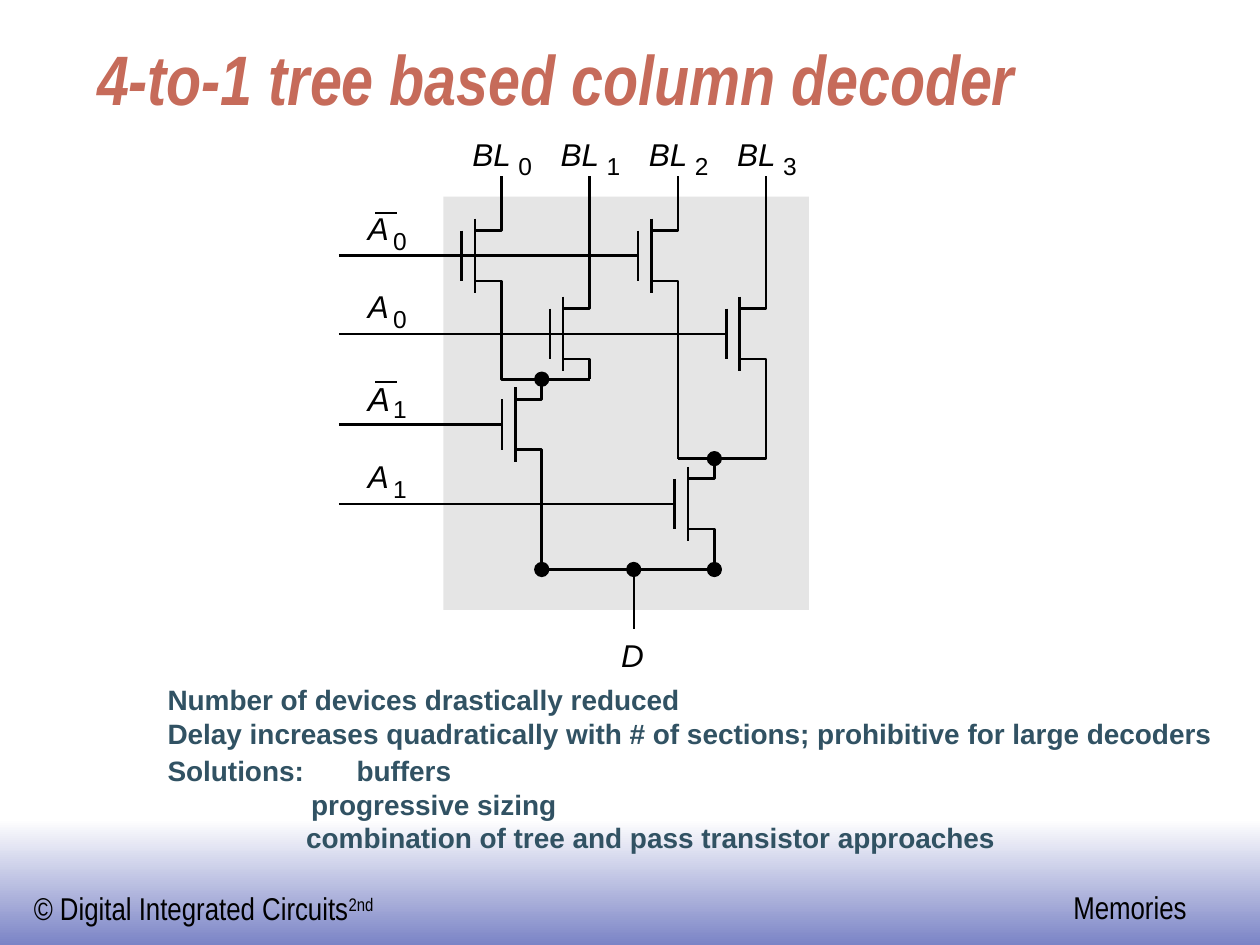
from lxml.etree import SubElement
from pptx import Presentation
from pptx.dml.color import RGBColor
from pptx.enum.shapes import MSO_CONNECTOR, MSO_SHAPE
from pptx.enum.text import MSO_ANCHOR, MSO_AUTO_SIZE, PP_ALIGN
from pptx.oxml.ns import qn
from pptx.util import Inches, Pt

COLS, ROWS = 100, 75  # grid of the slide, all lengths are in its cells
HUES = {"ink": "000000", "title": "C66B5A", "note": "315263",
        "panel": "E5E5E5", "top": "FFFFFF", "base": "7B84C6"}


class Sketch:
    def __init__(self, deck):
        self.wide, self.high = deck.slide_width / COLS, deck.slide_height / ROWS
        self.slide = deck.slides.add_slide(deck.slide_layouts[1])
        self.shapes = self.slide.shapes

    def spot(self, x, y):
        return round(x * self.wide), round(y * self.high)

    def hue(self, name):
        return RGBColor.from_string(HUES[name])

    def run(self, para, text, size, font="Arial", hue="ink", bold=False, slant=False):
        run = para.add_run()
        run.text = text
        face = run.font
        face.size, face.name, face.bold, face.italic = Pt(size), font, bold, slant
        face.color.rgb = self.hue(hue)
        return run

    def holder(self, shape, x, y, w, h, pad=0):
        """Move a placeholder and give back its text frame."""
        shape.left, shape.top = self.spot(x, y)
        shape.width, shape.height = self.spot(w, h)
        frame = shape.text_frame
        frame.auto_size, frame.word_wrap = MSO_AUTO_SIZE.NONE, True
        frame.margin_left = frame.margin_right = Inches(pad)
        frame.margin_top = frame.margin_bottom = Inches(pad / 2)
        return frame

    def text(self, x, y, w, h, text, size, pad=0, **style):
        box = self.shapes.add_textbox(*self.spot(x, y), *self.spot(w, h))
        frame = box.text_frame
        frame.word_wrap, frame.auto_size = False, MSO_AUTO_SIZE.SHAPE_TO_FIT_TEXT
        frame.margin_left = frame.margin_right = Inches(pad)
        frame.margin_top = frame.margin_bottom = Inches(pad / 2)
        self.run(frame.paragraphs[0], text, size, **style)
        return frame.paragraphs[0]

    def label(self, x, y, name, mark, gap, size=18):
        """Write a slanted name with a lowered index."""
        self.text(x, y, gap - 0.4, 3, name, size, slant=True)
        self.text(x + gap, y + 1.3, 1.1, 2.3, mark, 14)

    def block(self, kind, x, y, w, h):
        shape = self.shapes.add_shape(kind, *self.spot(x, y), *self.spot(w, h))
        shape.shadow.inherit = False
        shape.line.fill.background()
        return shape

    def panel(self, x, y, w, h, hue):
        fill = self.block(MSO_SHAPE.RECTANGLE, x, y, w, h).fill
        fill.solid()
        fill.fore_color.rgb = self.hue(hue)

    def band(self, x, y, w, h, hues):
        """Draw a strip that fades downward, behind all else."""
        shape = self.block(MSO_SHAPE.RECTANGLE, x, y, w, h)
        shape.fill.gradient()
        shape.fill.gradient_angle = 270
        for place, (stop, hue) in enumerate(zip(shape.fill.gradient_stops, hues)):
            stop.position, stop.color.rgb = place, self.hue(hue)
        self.shapes._spTree.insert(2, shape._element)

    def pen(self, line, width):
        line.color.rgb, line.width = self.hue("ink"), Pt(width)

    def dot(self, x, y):
        shape = self.block(MSO_SHAPE.OVAL, x - 0.5, y - 0.5, 1, 1)
        shape.fill.solid()
        shape.fill.fore_color.rgb = self.hue("ink")
        self.pen(shape.line, 1.5)

    def wire(self, x1, y1, x2, y2, width=1.5):
        wire = self.shapes.add_connector(
            MSO_CONNECTOR.STRAIGHT, *self.spot(x1, y1), *self.spot(x2, y2))
        self.pen(wire.line, width)
        SubElement(wire._element.spPr, qn("a:effectLst"))

    def bend(self, *points):
        first, *rest = [self.spot(*point) for point in points]
        path = self.shapes.build_freeform(*first)
        path.add_line_segments(rest, close=False)
        shape = path.convert_to_shape()
        shape.fill.background()
        shape.shadow.inherit = False
        self.pen(shape.line, 1.5)

    def gate(self, x, y):
        """Draw a transistor with its leads at x and its gate at row y."""
        body, plate = x - 2.1, x - 3.15
        self.bend((body, y + 2), (x, y + 2), (x, y + 3.6))
        self.bend((x, y - 3.6), (x, y - 2), (body, y - 2))
        self.wire(body, y - 2.95, body, y + 2.95)
        self.wire(plate, y - 2, plate, y + 2)
        self.wire(plate - 2.15, y, plate, y)

    def notes(self, frame, lines):
        """Fill the list: each line has its runs, indent, tab and space before."""
        for place, (runs, indent, tab, space) in enumerate(lines):
            para = frame.paragraphs[0] if place == 0 else frame.add_paragraph()
            para.alignment, para.line_spacing = PP_ALIGN.LEFT, 1.0
            para.space_before, para.space_after = Pt(space), Pt(0)
            props = para._p.get_or_add_pPr()
            props.set("marL", str(round(indent * self.wide)))
            props.set("indent", "0")
            SubElement(props, qn("a:buNone"))
            if tab:
                stops = SubElement(props, qn("a:tabLst"))
                SubElement(stops, qn("a:tab"), pos=str(round(tab * self.wide)), algn="l")
            for text in runs:
                self.run(para, text, 16, hue="note", bold=True)


def main():
    deck = Presentation()
    deck.slide_width, deck.slide_height = Inches(10), Inches(7.5)
    art = Sketch(deck)

    art.band(0, 65, 100, 10, ("top", "base"))
    foot = dict(size=18, pad=0.1, font="Arial Narrow")
    para = art.text(1.7, 70.1, 29.3, 4, "© Digital Integrated Circuits", **foot)
    power = art.run(para, "2nd", 18, "Arial Narrow")
    power.font._element.set("baseline", "30000")
    art.text(84.2, 70, 11, 4, "Memories", **foot)

    head = art.holder(art.shapes.title, 6.7, 2.5, 85, 7.5, pad=0.1)
    head.vertical_anchor = MSO_ANCHOR.BOTTOM
    head.paragraphs[0].alignment = PP_ALIGN.LEFT
    art.run(head.paragraphs[0], "4-to-1 tree based column decoder", 40,
            "Arial Narrow", "title", True, True)

    body = art.holder(art.slide.placeholders[1], 13.3, 54.2, 85, 13.2)
    body.vertical_anchor = MSO_ANCHOR.TOP
    art.notes(body, [
        (["Number of devices drastically reduced"], 0, 0, 0),
        (["Delay increases quadratically with # of sections; "
          "prohibitive for large decoders"], 0, 0, 0),
        (["Solutions:", "\t", "buffers"], 0, 11.1, 2),
        (["progressive sizing"], 11.4, 0, 0),
        (["combination of tree and pass transistor approaches"], 11, 0, 0),
    ])

    art.panel(35.2, 15.6, 29, 32.8, "panel")
    bits = [39.8 + 7 * i for i in range(4)]
    rows = [20.3, 26.5, 33.7, 40]
    left, right = 43, 56.7  # leads of the second stage
    join, merge, out = 30.1, 36.4, 45.2  # rows where branches meet

    for i, x in enumerate(bits):
        art.label(x - 2.3, 10.7, "BL", str(i), 3.65)
        y = rows[i % 2]
        art.wire(x, 14, x, y - 3.6)
        art.gate(x, y)
    art.gate(left, rows[2])
    art.gate(right, rows[3])

    ends = [bits[2], bits[3], left, right]
    for i, (y, end) in enumerate(zip(rows, ends)):
        art.wire(26.9, y, end - 5.3, y)
        art.label(29.2, y - 3.7, "A", str(i // 2), 2, 19 if i == 2 else 18)
        if i % 2 == 0:
            art.wire(29.8, y - 3.4, 31.5, y - 3.4, 1.13)

    art.bend((bits[1], join), (bits[0], join), (bits[0], rows[0] + 3.6))
    art.wire(bits[2], merge, bits[2], rows[0] + 3.6)
    art.bend((bits[2], merge), (bits[3], merge), (bits[3], rows[1] + 3.6))
    art.wire(left, out, left, rows[2] + 3.6)
    art.bend((left, out), (right, out), (right, rows[3] + 2.6))
    art.wire(50.3, out, 50.3, 49.9, 1.13)
    for x, y in [(left, join), (right, merge), (left, out), (50.3, out), (right, out)]:
        art.dot(x, y)
    art.text(49.3, 50.5, 1.8, 3, "D", 18, slant=True)

    deck.save("out.pptx")


if __name__ == "__main__":
    main()
